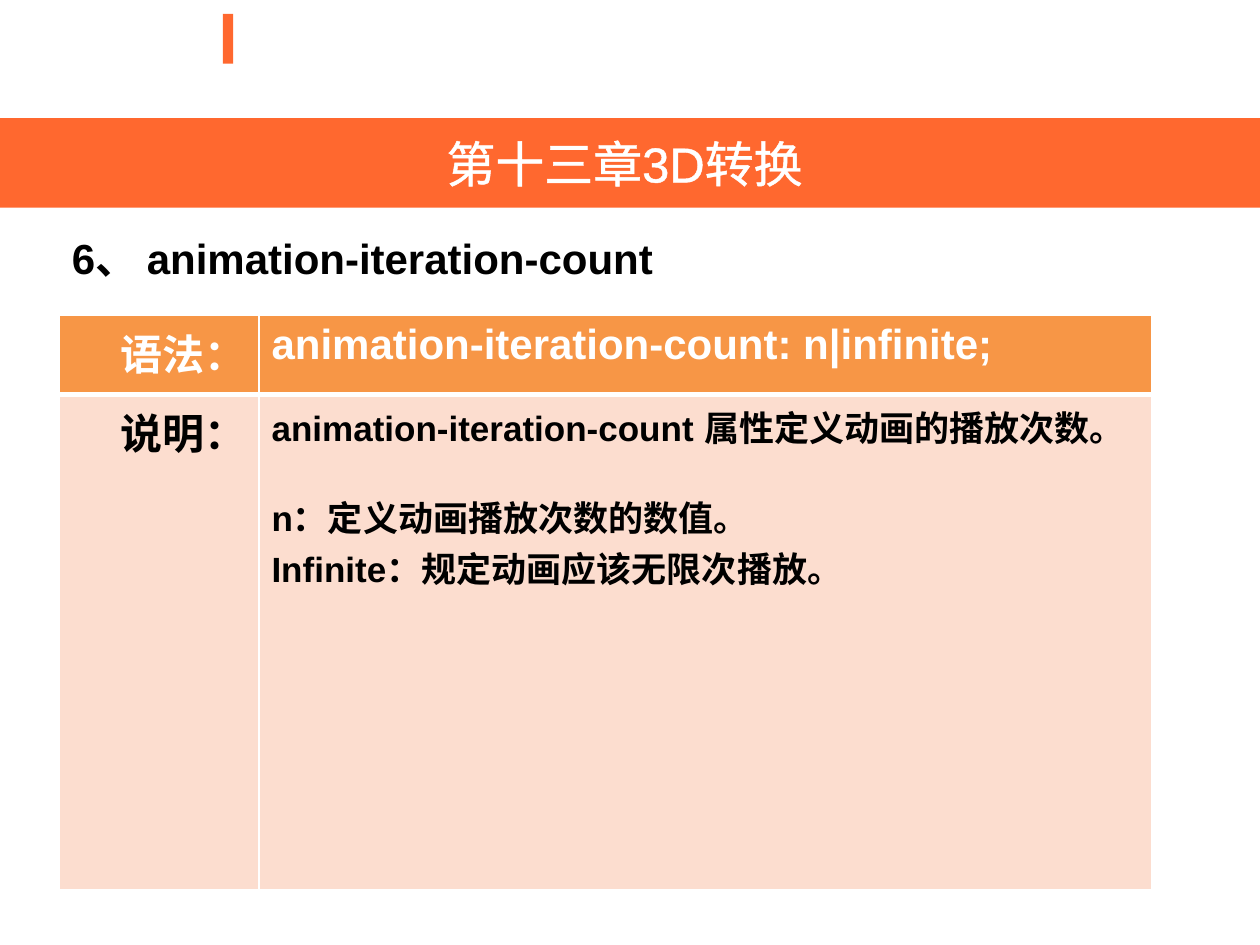
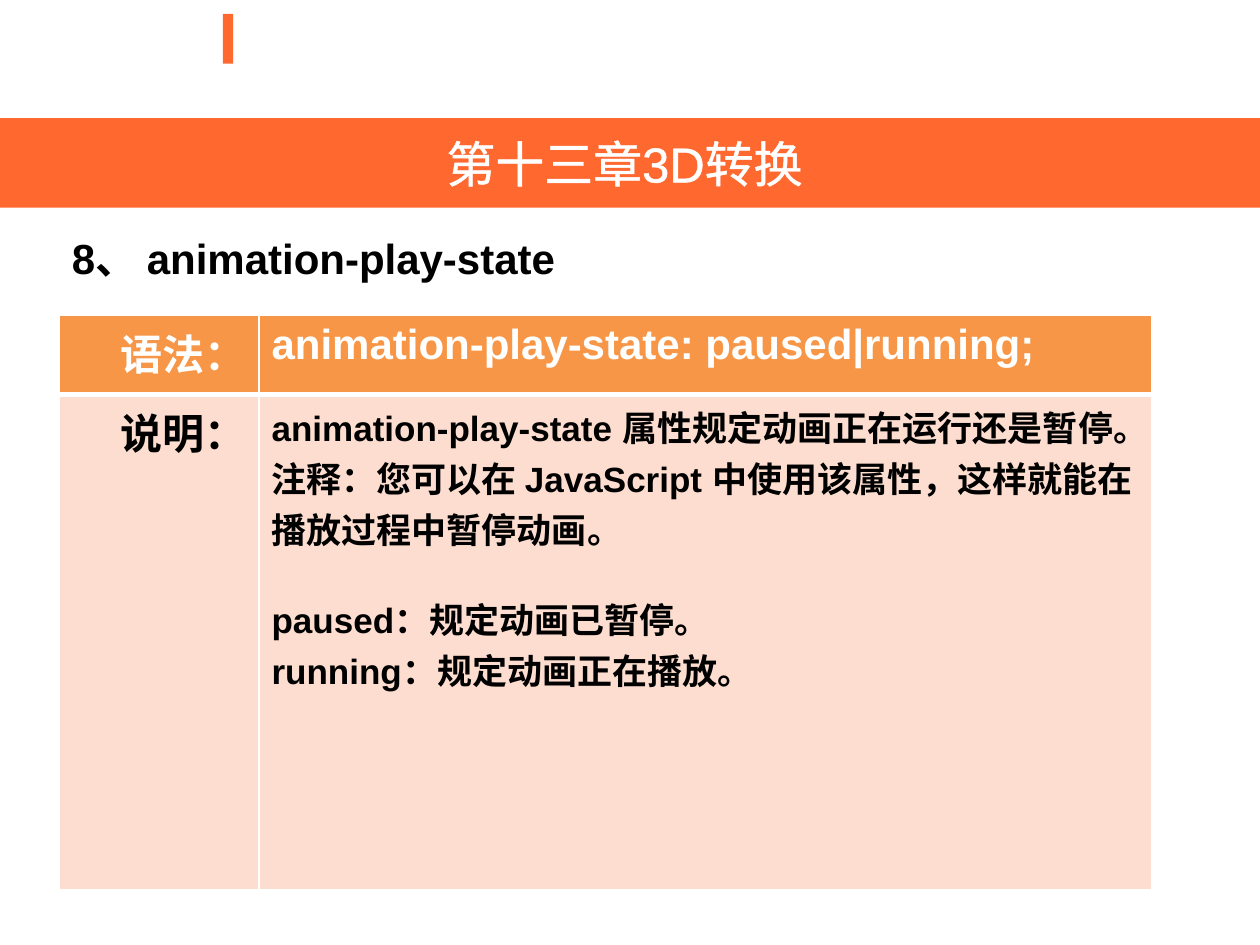
from lxml import etree
from pptx import Presentation
from pptx.dml.color import RGBColor
from pptx.enum.shapes import MSO_SHAPE as Shape
from pptx.enum.text import MSO_ANCHOR as Anchor, MSO_AUTO_SIZE as AutoSize, PP_ALIGN as Align
from pptx.oxml.ns import qn
from pptx.util import Pt

CHAPTER = "第十三章3D转换 "
LABELS = ("语法：", "说明：")
TOPICS = [
    {
        "heading": "6、 animation-iteration-count",
        "syntax": "animation-iteration-count: n|infinite;",
        "notes": ["animation-iteration-count 属性定义动画的播放次数。"],
        "values": ["n：定义动画播放次数的数值。", "Infinite：规定动画应该无限次播放。"],
    },
    {
        "heading": "8、 animation-play-state",
        "syntax": "animation-play-state: paused|running;",
        "notes": [
            "animation-play-state 属性规定动画正在运行还是暂停。",
            "注释：您可以在 JavaScript 中使用该属性，这样就能在播放过程中暂停动画。",
        ],
        "values": ["paused：规定动画已暂停。", "running：规定动画正在播放。"],
    },
]

FONT = "Arial"
ORANGE, HEADER, BODY = "FF682F", "F79646", "FCDDCF"
WHITE, BLACK = "FFFFFF", "000000"
WIDTH, HEIGHT = 720, 540
LEFT = 34
COLUMNS, ROWS = (114, 510), (45.2, 282.6)
VALUES_GAP = 22.4


def color(value):
    return RGBColor.from_string(value)


def add_text(para, text, size, ink, bold=True, align=Align.LEFT):
    para.alignment = align
    span = para.add_run()
    span.text = text
    span.font.name = FONT
    span.font.size = Pt(size)
    span.font.bold = bold
    span.font.color.rgb = color(ink)
    return span


def add_line(properties, tag, width, ink):
    line = etree.SubElement(properties, qn(tag), w=str(Pt(width)))
    fill = etree.SubElement(line, qn("a:solidFill"))
    etree.SubElement(fill, qn("a:srgbClr"), val=ink)
    return line


def add_bar(page, left, top, width, height):
    bar = page.shapes.add_shape(Shape.RECTANGLE, Pt(left), Pt(top), Pt(width), Pt(height))
    bar.shadow.inherit = False
    bar.fill.solid()
    bar.fill.fore_color.rgb = color(ORANGE)
    bar.line.fill.background()
    return bar


def add_frame(page):
    add_bar(page, 127.4, 8, 5.8, 28.4)
    band = add_bar(page, 0, 67.5, WIDTH, 51.2)
    frame = band.text_frame
    frame.vertical_anchor = Anchor.MIDDLE
    span = add_text(frame.paragraphs[0], CHAPTER, 28, WHITE, False, Align.CENTER)
    properties = span.font._element
    properties.insert(0, add_line(properties, "a:ln", 1.45, WHITE))


def add_heading(page, text):
    box = page.shapes.add_textbox(Pt(LEFT), Pt(129.6), Pt(WIDTH - 2 * LEFT), Pt(36))
    box.text_frame.word_wrap = True
    box.text_frame.auto_size = AutoSize.SHAPE_TO_FIT_TEXT
    add_text(box.text_frame.paragraphs[0], text, 24, BLACK)


def style_cell(cell, fill, bottom):
    properties = cell._tc.get_or_add_tcPr()
    for side, width in (("L", 1), ("R", 1), ("T", 1), ("B", bottom)):
        add_line(properties, f"a:ln{side}", width, WHITE)
    cell.fill.solid()
    cell.fill.fore_color.rgb = color(fill)


def add_syntax_table(page, topic):
    table = page.shapes.add_table(
        len(ROWS), len(COLUMNS), Pt(LEFT), Pt(180.4), Pt(sum(COLUMNS)), Pt(sum(ROWS))
    ).table
    for column, width in zip(table.columns, COLUMNS):
        column.width = Pt(width)
    looks = ((HEADER, WHITE, 3), (BODY, BLACK, 1))
    for index, (label, (fill, ink, bottom)) in enumerate(zip(LABELS, looks)):
        table.rows[index].height = Pt(ROWS[index])
        for cell in table.rows[index].cells:
            style_cell(cell, fill, bottom)
        add_text(table.cell(index, 0).text_frame.paragraphs[0], label, 24, ink, align=Align.RIGHT)

    add_text(table.cell(0, 1).text_frame.paragraphs[0], topic["syntax"], 24, WHITE)
    frame = table.cell(1, 1).text_frame
    for index, text in enumerate(topic["notes"] + topic["values"]):
        para = frame.add_paragraph() if index else frame.paragraphs[0]
        if index == len(topic["notes"]):
            para.space_before = Pt(VALUES_GAP)
        add_text(para, text, 20, BLACK)


def main():
    deck = Presentation()
    deck.slide_width, deck.slide_height = Pt(WIDTH), Pt(HEIGHT)
    for topic in TOPICS:
        page = deck.slides.add_slide(deck.slide_layouts[6])
        add_frame(page)
        add_heading(page, topic["heading"])
        add_syntax_table(page, topic)
    deck.save("out.pptx")


if __name__ == "__main__":
    main()
